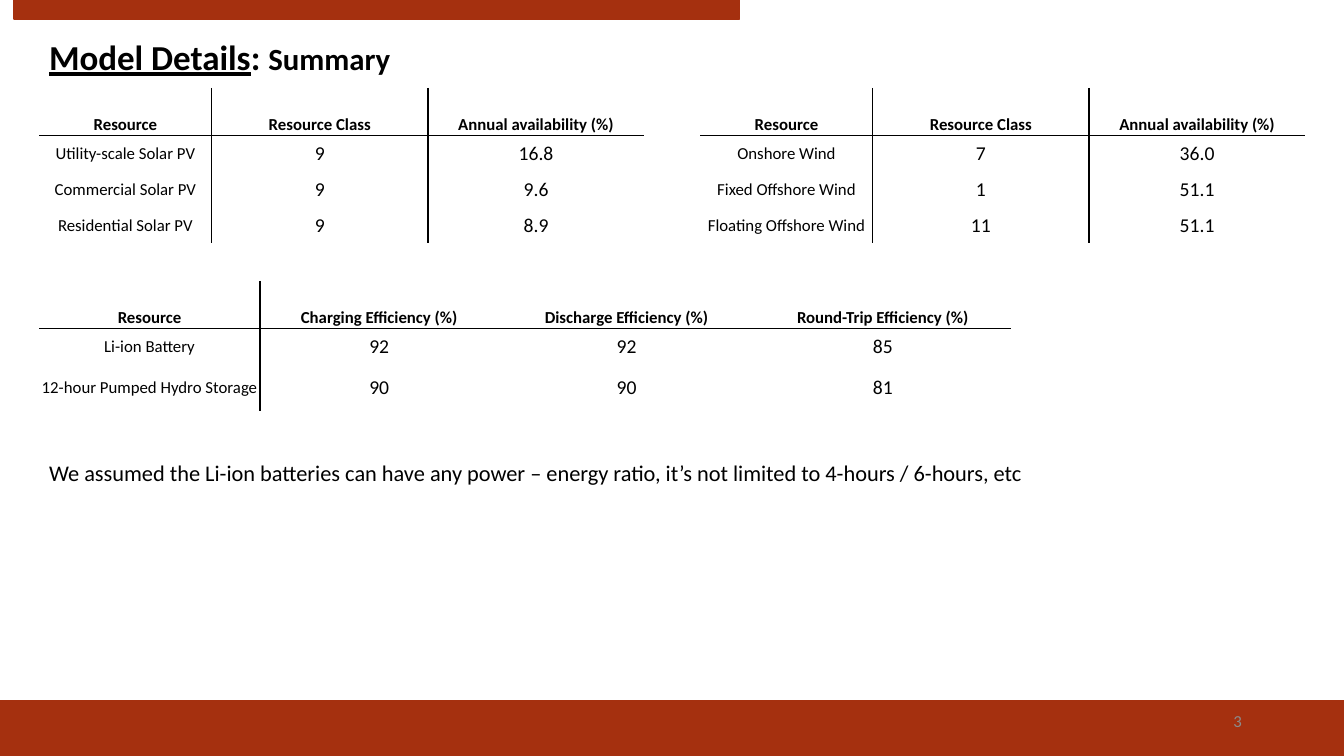
from lxml import etree
from pptx import Presentation
from pptx.dml.color import RGBColor
from pptx.enum.shapes import MSO_SHAPE
from pptx.enum.text import MSO_ANCHOR, PP_ALIGN
from pptx.oxml.ns import qn
from pptx.util import Pt

RECTANGLE = MSO_SHAPE.RECTANGLE
MIDDLE, BOTTOM = MSO_ANCHOR.MIDDLE, MSO_ANCHOR.BOTTOM
LEFT, CENTER, RIGHT = PP_ALIGN.LEFT, PP_ALIGN.CENTER, PP_ALIGN.RIGHT
BLACK, RUST, GRAY = "000000", "A5300F", "8C8C8C"


def color(value):
    return RGBColor.from_string(value)


def add_run(paragraph, text, size, bold=False, underline=False, ink=BLACK):
    run = paragraph.add_run()
    run.text = text
    run.font.name = "Calibri"
    run.font.size = Pt(size)
    run.font.bold = bold
    run.font.underline = underline
    run.font.color.rgb = color(ink)


prs = Presentation()
prs.slide_width, prs.slide_height = Pt(960), Pt(540)
slide = prs.slides.add_slide(prs.slide_layouts[6])

for left, top, width, height in [(0, 500.4, 960, 39.6), (10, 0, 518.4, 13.7)]:
    band = slide.shapes.add_shape(RECTANGLE, Pt(left), Pt(top), Pt(width), Pt(height))
    band.shadow.inherit = False
    band.fill.solid()
    band.fill.fore_color.rgb = color(RUST)
    band.line.color.rgb = color(RUST)
    band.line.width = Pt(1)

assumption = (
    "We assumed the Li-ion batteries can have any power – energy ratio, "
    "it’s not limited to 4-hours / 6-hours, etc"
)
passages = [
    (678.2, 500.4, 216, 28.8, RIGHT, [("3", 12, False, False, GRAY)]),
    (28, 21.6, 582.5, 37.4, LEFT,
     [("Model Details", 25, True, True), (": ", 25, True), ("Summary", 22, True)]),
    (28, 324, 884, 26.6, LEFT, [(assumption, 16)]),
]
for left, top, width, height, align, runs in passages:
    frame = slide.shapes.add_textbox(Pt(left), Pt(top), Pt(width), Pt(height)).text_frame
    frame.word_wrap = True
    frame.vertical_anchor = MIDDLE
    frame.paragraphs[0].alignment = align
    for run in runs:
        add_run(frame.paragraphs[0], *run)

availability_header = ("Resource", "Resource Class", "Annual availability (%)")
availability_columns = (123.2, 154.5, 154.5)
availability_rows = (33.9, 25.7, 25.7, 25.7)
summaries = [
    (500.2, 62.8, availability_columns, availability_rows, (1, 2), [
        availability_header,
        ("Onshore Wind", "7", "36.0"),
        ("Fixed Offshore Wind", "1", "51.1"),
        ("Floating Offshore Wind", "11", "51.1"),
    ]),
    (28, 62.8, availability_columns, availability_rows, (1, 2), [
        availability_header,
        ("Utility-scale Solar PV", "9", "16.8"),
        ("Commercial Solar PV", "9", "9.6"),
        ("Residential Solar PV", "9", "8.9"),
    ]),
    (28, 200.7, (157.7, 170.4, 183, 183), (33.9, 25.7, 33.3), (1,), [
        ("Resource", "Charging Efficiency (%)", "Discharge Efficiency (%)",
         "Round-Trip Efficiency (%)"),
        ("Li-ion Battery", "92", "92", "85"),
        ("12-hour Pumped Hydro Storage", "90", "90", "81"),
    ]),
]
for left, top, widths, heights, dividers, records in summaries:
    table = slide.shapes.add_table(
        len(heights), len(widths), Pt(left), Pt(top), Pt(sum(widths)), Pt(sum(heights))
    ).table
    table.first_row = table.horz_banding = False
    for column, width in zip(table.columns, widths):
        column.width = Pt(width)
    for row, height in zip(table.rows, heights):
        row.height = Pt(height)
    for r, record in enumerate(records):
        for c, text in enumerate(record):
            cell = table.cell(r, c)
            cell.margin_left = cell.margin_right = cell.margin_top = Pt(0.75)
            cell.margin_bottom = 0
            cell.vertical_anchor = BOTTOM if r == 0 else MIDDLE
            cell.fill.background()
            paragraph = cell.text_frame.paragraphs[0]
            paragraph.alignment = CENTER
            add_run(paragraph, text, 14 if r and c else 12, bold=r == 0)
            ruled_sides = [("a:lnL", c in dividers), ("a:lnR", c + 1 in dividers),
                           ("a:lnT", r == 1), ("a:lnB", r == 0)]
            properties = cell._tc.get_or_add_tcPr()
            for position, (side, ruled) in enumerate(ruled_sides):
                border = etree.Element(qn(side), w=str(Pt(1)))
                properties.insert(position, border)
                if ruled:
                    ink = etree.SubElement(border, qn("a:solidFill"))
                    etree.SubElement(ink, qn("a:srgbClr"), val=BLACK)
                else:
                    etree.SubElement(border, qn("a:noFill"))

prs.save("out.pptx")
